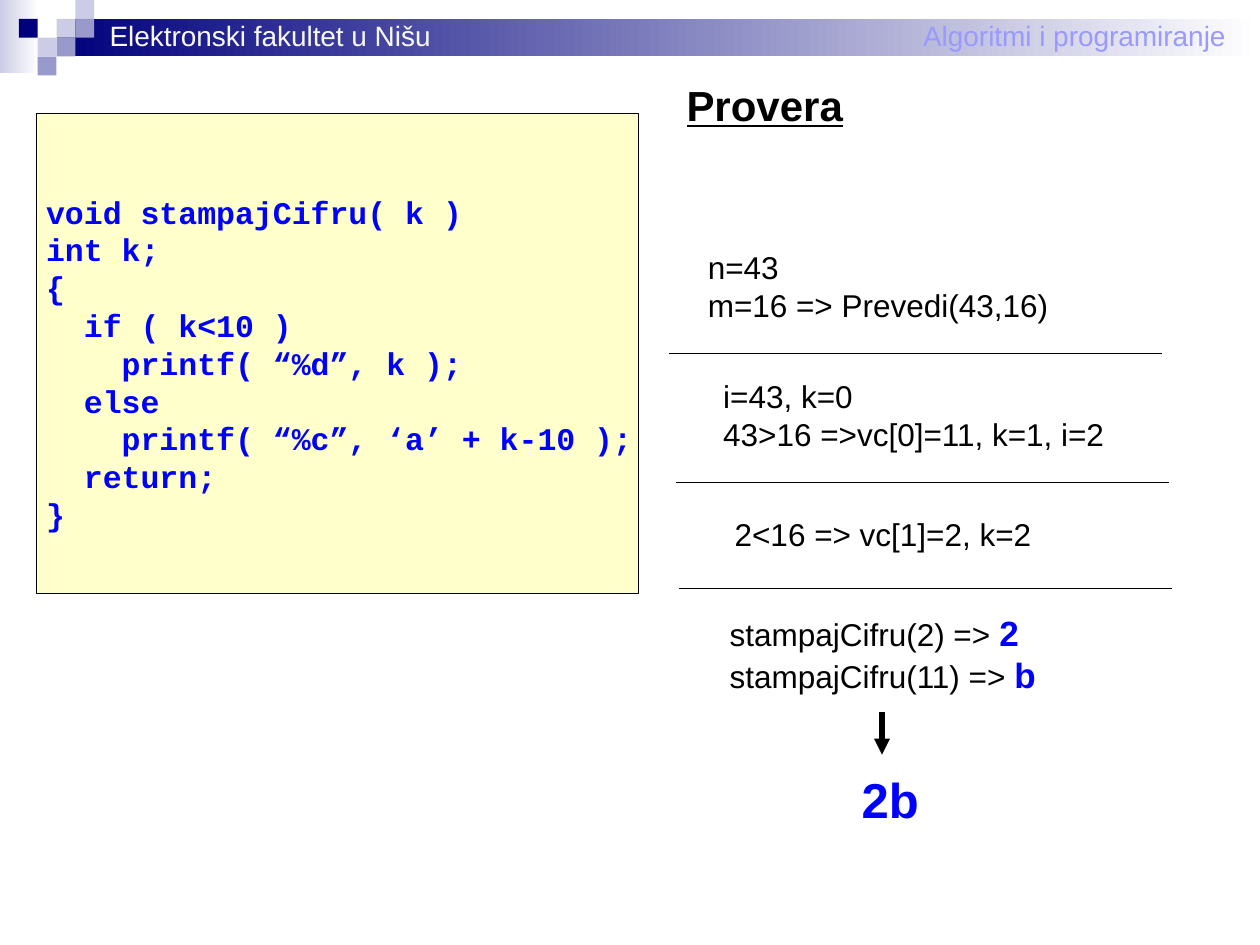
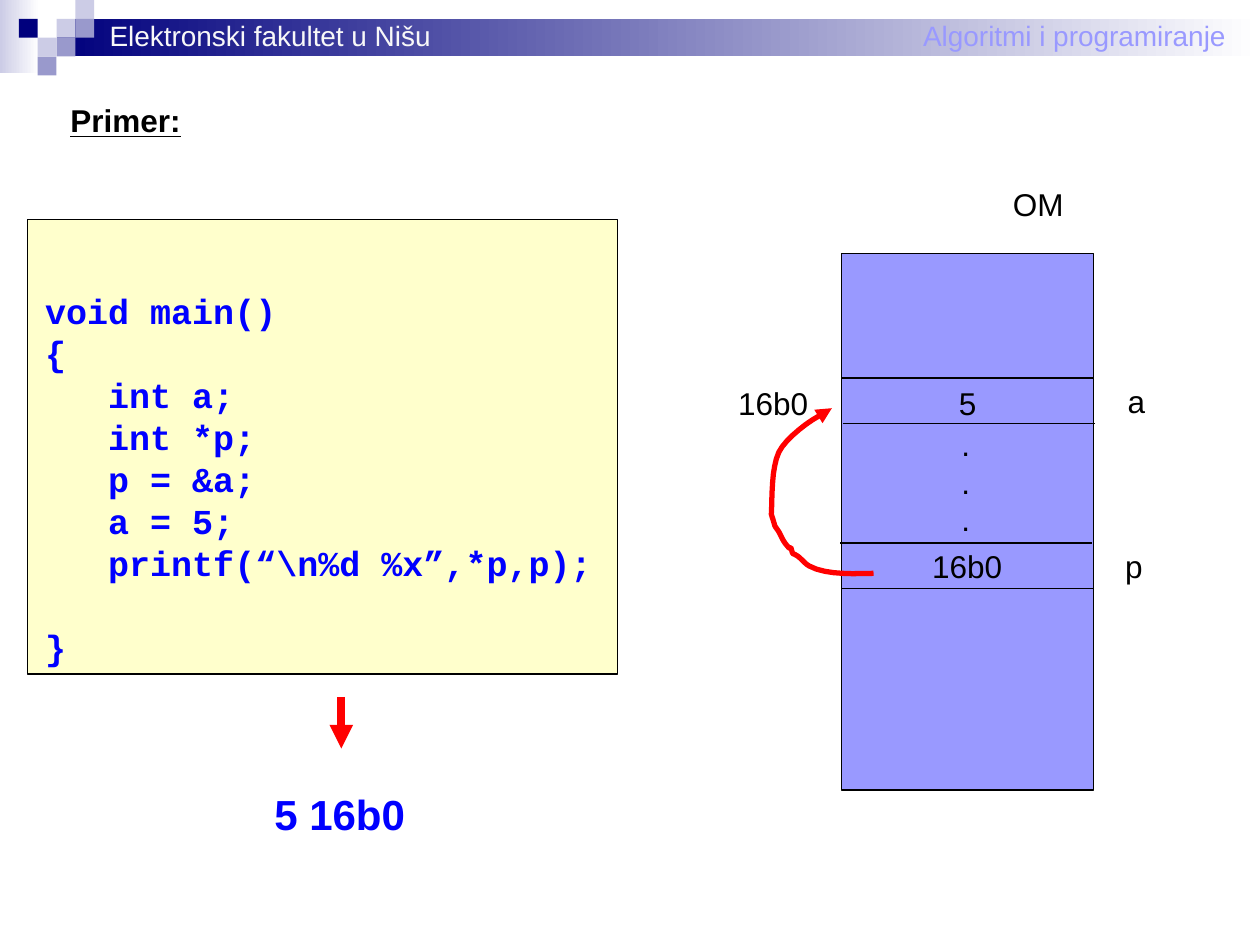
from collections import namedtuple

from lxml.etree import SubElement
from pptx import Presentation
from pptx.dml.color import RGBColor
from pptx.enum.shapes import MSO_CONNECTOR, MSO_SHAPE
from pptx.enum.text import MSO_ANCHOR, MSO_AUTO_SIZE
from pptx.oxml.ns import qn
from pptx.util import Cm, Pt

BLACK = RGBColor(0x00, 0x00, 0x00)
WHITE = RGBColor(0xFF, 0xFF, 0xFF)
OFF_WHITE = RGBColor(0xF8, 0xF8, 0xF8)
NAVY = RGBColor(0x00, 0x00, 0x7D)
BLUE = RGBColor(0x00, 0x00, 0xFF)
RED = RGBColor(0xFF, 0x00, 0x00)
CREAM = RGBColor(0xFF, 0xFF, 0xCC)
PERIWINKLE = RGBColor(0x99, 0x99, 0xFF)
LAVENDER = RGBColor(0x99, 0x99, 0xCC)
PALE_LAVENDER = RGBColor(0xCC, 0xCC, 0xE6)

SLIDE_WIDTH = 25.4
SLIDE_HEIGHT = 19.05
HEADER_UNIT = 0.38
LINE_PITCH = 1.2
TEXT_SLACK = 0.12
CURVE_STEPS = 8

PRINT_DIGIT_CODE = """void stampajCifru( k )
int k;
{
  if ( k<10 )
    printf( “%d”, k );
  else
    printf( “%c”, ‘a’ + k-10 );
  return;
}"""

POINTER_CODE = """void main()
{
   int a;
   int *p;
   p = &a;
   a = 5;
   printf(“\\n%d %x”,*p,p);
}"""

POINTER_START = (0.64, 6.45)
POINTER_CURVES = [
    ((0.36, 6.45), (-0.3, 6.5), (-0.66, 6.3)),
    ((-0.79, 6.22), (-0.84, 6.1), (-0.99, 6.05)),
    ((-1.07, 5.79), (-0.97, 6.07), (-1.12, 5.87)),
    ((-1.19, 5.79), (-1.22, 5.69), (-1.27, 5.61)),
    ((-1.3, 5.56), (-1.32, 5.54), (-1.35, 5.49)),
    ((-1.37, 5.41), (-1.42, 5.26), (-1.42, 5.26)),
    ((-1.4, 4.88), (-1.42, 4.34), (-1.27, 4.01)),
    ((-1.14, 3.73), (-0.61, 3.33), (-0.36, 3.23)),
    ((-0.28, 3.1), (-0.33, 3.12), (-0.2, 3.12)),
]


class Box(namedtuple("Box", "left top width height")):
    """A region in centimetres."""

    def inner(self, left, top, width, height):
        """Return a box offset from this one's top left corner."""
        return Box(self.left + left, self.top + top, width, height)

    def lengths(self):
        """Return the four values as slide lengths."""
        return [Cm(value) for value in self]


def add_text(slide, box, text, size=18, color=BLACK, font_name="Arial", bold=False,
             underline=False, wrap=False, accents=(), last_gap=0):
    """Write the lines of text, each optionally ending in a blue accent."""
    roomy_box = box.inner(0, 0, box.width + TEXT_SLACK, box.height)
    frame = slide.shapes.add_textbox(*roomy_box.lengths()).text_frame
    frame.word_wrap = wrap
    frame.auto_size = MSO_AUTO_SIZE.SHAPE_TO_FIT_TEXT
    frame.vertical_anchor = MSO_ANCHOR.TOP
    for index, line in enumerate(text.split("\n")):
        paragraph = frame.paragraphs[0] if index == 0 else frame.add_paragraph()
        pieces = [(line, size, color, bold)]
        if accents:
            pieces.append((accents[index], 20, BLUE, True))
        paragraph.line_spacing = Pt(LINE_PITCH * max(piece[1] for piece in pieces))
        for words, points, tint, heavy in pieces:
            run = paragraph.add_run()
            run.text = words
            run.font.name = font_name
            run.font.size = Pt(points)
            run.font.color.rgb = tint
            run.font.bold = heavy
            run.font.underline = underline
    if last_gap:
        paragraph.space_before = Pt(last_gap)


def add_rectangle(slide, box, color, fade_to=None, outlined=False):
    """Draw a rectangle, plain or fading to the right."""
    shape = slide.shapes.add_shape(MSO_SHAPE.RECTANGLE, *box.lengths())
    shape.shadow.inherit = False
    if fade_to is None:
        shape.fill.solid()
        shape.fill.fore_color.rgb = color
    else:
        shape.fill.gradient()
        shape.fill.gradient_angle = 0
        for stop, tint, position in zip(shape.fill.gradient_stops, (color, fade_to), (0, 1)):
            stop.color.rgb = tint
            stop.position = position
    if outlined:
        shape.line.color.rgb = BLACK
        shape.line.width = Pt(0.75)
    else:
        shape.line.fill.background()


def style_line(shape, color, width, arrow):
    """Set a line's colour, width and optional arrowhead."""
    shape.line.color.rgb = color
    shape.line.width = Pt(width)
    if arrow:
        SubElement(shape.line._get_or_add_ln(), qn("a:tailEnd"), type="triangle")


def add_line(slide, box, color=BLACK, width=0.75, arrow=False):
    """Draw a straight line from the box's top left to its bottom right."""
    left, top, across, down = box.lengths()
    connector = slide.shapes.add_connector(
        MSO_CONNECTOR.STRAIGHT, left, top, left + across, top + down)
    style_line(connector, color, width, arrow)
    SubElement(connector._element.spPr, qn("a:effectLst"))


def curve_points(start, curves):
    """Yield points along a chain of cubic curves."""
    for first, second, end in curves:
        for step in range(1, CURVE_STEPS + 1):
            t = step / CURVE_STEPS
            u = 1 - t
            yield tuple(u**3 * a + 3 * u * u * t * b + 3 * u * t * t * c + t**3 * d
                        for a, b, c, d in zip(start, first, second, end))
        start = end


def add_pointer(slide, box):
    """Draw the curved arrow from the pointer cell to its target."""
    points = [(Cm(box.left + x), Cm(box.top + y))
              for x, y in [POINTER_START, *curve_points(POINTER_START, POINTER_CURVES)]]
    builder = slide.shapes.build_freeform(*points[0])
    builder.add_line_segments(points[1:], close=False)
    shape = builder.convert_to_shape()
    shape.shadow.inherit = False
    shape.fill.background()
    style_line(shape, RED, 3, True)


def add_header(slide, box):
    """Draw the band, its mosaic and the two header labels."""
    unit = HEADER_UNIT
    add_rectangle(slide, box.inner(0, 0, 0.79, 1.47), PALE_LAVENDER, fade_to=WHITE)
    add_rectangle(slide, box.inner(3 * unit, unit, box.width - 3 * unit, 2 * unit),
                  NAVY, fade_to=WHITE)
    mosaic = [(3, 1, PALE_LAVENDER), (4, 0, PALE_LAVENDER), (4, 1, LAVENDER),
              (2, 2, PALE_LAVENDER), (1, 1, NAVY), (3, 2, LAVENDER), (2, 3, LAVENDER)]
    for column, row, color in mosaic:
        add_rectangle(slide, box.inner(column * unit, row * unit, unit, unit), color)
    add_text(slide, box.inner(18.36, 0.25, 6.6, 0.94), "Algoritmi i programiranje",
             size=16, color=PERIWINKLE)
    add_text(slide, box.inner(1.96, 0.25, 6.99, 0.94), "Elektronski fakultet u Nišu",
             size=16, color=OFF_WHITE)


def add_code_panel(slide, box, code_box, code, size, last_gap=0):
    """Draw a cream panel with code placed inside it."""
    add_rectangle(slide, box, CREAM, outlined=True)
    add_text(slide, box.inner(*code_box), code, size=size, color=BLUE,
             font_name="Courier New", bold=True, last_gap=last_gap)


def add_trace(slide, box):
    """Write the steps of the check, ruled apart, down to the result."""
    add_text(slide, box.inner(0.1, 0, 3.66, 1.27), "Provera", size=24, bold=True,
             underline=True)
    steps = [
        ((0.53, 3.4, 7.37, 1.78), "n=43\nm=16 => Prevedi(43,16)", (0, 5.66)),
        ((0.84, 6.01, 8.23, 1.78), "i=43, k=0\n43>16 =>vc[0]=11, k=1, i=2", (0.13, 8.26)),
        ((1.07, 8.79, 6.48, 1.02), "2<16 => vc[1]=2, k=2", (0.2, 10.39)),
    ]
    for text_box, text, rule_start in steps:
        add_text(slide, box.inner(*text_box), text)
        add_line(slide, box.inner(*rule_start, 9.94, 0))
    add_text(slide, box.inner(0.97, 10.74, 6.73, 2.79),
             "stampajCifru(2) => \nstampajCifru(11) => ", accents=("2", "b"))
    add_line(slide, box.inner(4.29, 12.88, 0, 0.86), width=3, arrow=True)
    add_text(slide, box.inner(3.63, 13.92, 1.8, 1.45), "2b", size=28, color=BLUE,
             bold=True, wrap=True)


def add_memory(slide, box):
    """Draw the memory block with its cells, labels and pointer."""
    add_rectangle(slide, box, PERIWINKLE, outlined=True)
    for left, top in [(0, 2.51), (0.03, 3.43), (-0.03, 5.84), (0, 6.76)]:
        add_line(slide, box.inner(left, top, box.width, 0))
    labels = [("OM", 3.2, -1.5, 1.52), ("5", 2.11, 2.51, 0.86), ("a", 5.51, 2.46, 0.86),
              ("16b0", -2.34, 2.51, 1.9), ("p", 5.46, 5.79, 0.86),
              ("16b0", 1.57, 5.79, 1.9), (".\n.\n.", 2.16, 3.33, 0.69)]
    for text, left, top, width in labels:
        add_text(slide, box.inner(left, top, width, 1.02), text)
    add_pointer(slide, box)


def add_output(slide, box):
    """Show the printed result below a red arrow."""
    add_line(slide, box.inner(1.6, 0, 0, 1.04), color=RED, width=4.5, arrow=True)
    add_text(slide, box.inner(0, 1.72, box.width, 1.27), "5 16b0", size=24, color=BLUE,
             bold=True, wrap=True)


def add_slide(presentation):
    """Add a blank slide with the shared header."""
    slide = presentation.slides.add_slide(presentation.slide_layouts[6])
    add_header(slide, Box(0, 0, SLIDE_WIDTH, 1.52))
    return slide


def build_check_slide(presentation):
    """Build the slide that traces the digit printing."""
    slide = add_slide(presentation)
    add_code_panel(slide, Box(0.74, 2.29, 12.14, 9.68), (-0.06, 1.47, 12.32, 7.87),
                   PRINT_DIGIT_CODE, 18)
    add_trace(slide, Box(13.49, 1.47, 10.16, 15.37))


def build_pointer_slide(presentation):
    """Build the slide with the pointer example."""
    slide = add_slide(presentation)
    add_text(slide, Box(1.17, 1.92, 23.42, 1.02), "Primer:", bold=True, underline=True,
             wrap=True)
    add_code_panel(slide, Box(0.56, 4.42, 11.89, 9.17), (0.1, 1.29, 11.53, 7.88),
                   POINTER_CODE, 20, last_gap=24)
    add_output(slide, Box(5.28, 14.05, 3.91, 2.99))
    add_memory(slide, Box(16.97, 5.11, 5.08, 10.82))


def main():
    """Build and save the presentation."""
    presentation = Presentation()
    presentation.slide_width = Cm(SLIDE_WIDTH)
    presentation.slide_height = Cm(SLIDE_HEIGHT)
    build_check_slide(presentation)
    build_pointer_slide(presentation)
    presentation.save("out.pptx")


if __name__ == "__main__":
    main()
